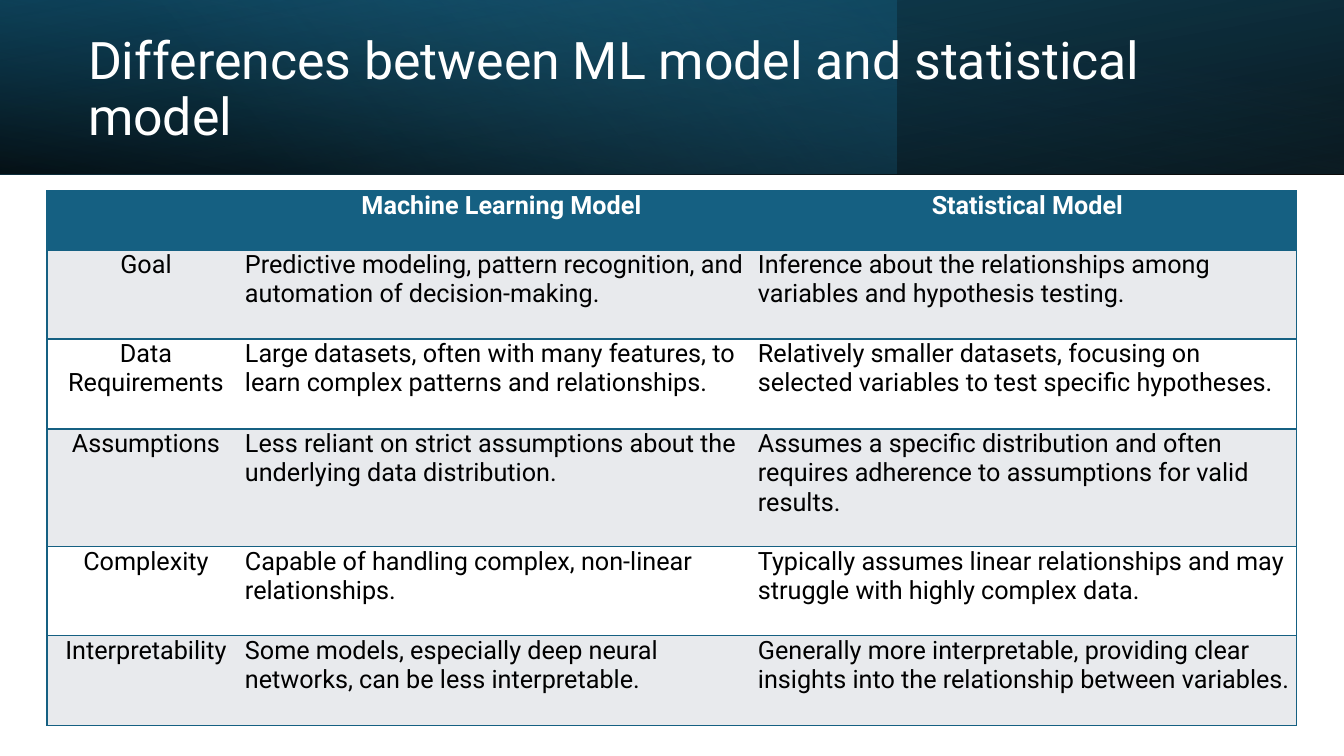
from dataclasses import dataclass

from lxml.etree import SubElement
from pptx import Presentation
from pptx.dml.color import RGBColor
from pptx.enum.shapes import MSO_SHAPE as Shape
from pptx.enum.text import MSO_ANCHOR as Anchor, MSO_AUTO_SIZE as AutoSize, PP_ALIGN as Align
from pptx.oxml.ns import qn
from pptx.util import Emu, Pt

PX = 914400 / 100.8
COLORS = {
    "black": "000000", "white": "FFFFFF", "blue": "156082",
    "deep": "104862", "sky": "46B1E1", "stripe": "E8EAED",
}
TITLE_FONT = {"name": "Roboto", "size": Pt(37), "bold": False}
HEAD_FONT = {"name": "Roboto", "size": Pt(18), "bold": True}
BODY_FONT = {**HEAD_FONT, "bold": False}
NO_MARGINS = {f"margin_{side}": 0 for side in ("left", "right", "top", "bottom")}


@dataclass(frozen=True)
class Stop:
    pos: int
    color: str
    alpha: int = 100


@dataclass(frozen=True)
class Band:
    width: int
    angle: int
    stops: tuple[Stop, Stop]
    flip: bool = False
    rotation: int = 0


@dataclass(frozen=True)
class Row:
    height: int
    label: str
    ml: str
    statistical: str


BAND_HEIGHT = 174
BANDS = [
    Band(1344, 100, (Stop(0, "black", 96), Stop(100, "deep")), True, 180),
    Band(897, 140, (Stop(0, "blue", 41), Stop(74, "sky", 0))),
    Band(1344, 260, (Stop(0, "black", 63), Stop(78, "blue", 15)), True),
]
TITLE = "Differences between ML model and statistical model"
COLUMNS = [198, 513, 539]
ROWS = [
    Row(59, "", "Machine Learning Model", "Statistical Model"),
    Row(89, "Goal",
        "Predictive modeling, pattern recognition, and automation of decision-making.",
        "Inference about the relationships among variables and hypothesis testing."),
    Row(90, "Data Requirements",
        "Large datasets, often with many features, to learn complex patterns and relationships.",
        "Relatively smaller datasets, focusing on selected variables to test specific hypotheses."),
    Row(118, "Assumptions",
        "Less reliant on strict assumptions about the underlying data distribution.",
        "Assumes a specific distribution and often requires adherence to assumptions"
        " for valid results."),
    Row(89, "Complexity",
        "Capable of handling complex, non-linear relationships.",
        "Typically assumes linear relationships and may struggle with highly complex data."),
    Row(90, "Interpretability",
        "Some models, especially deep neural networks, can be less interpretable.",
        "Generally more interpretable, providing clear insights into the relationship"
        " between variables."),
]


def px(n: int) -> Emu:
    return Emu(round(n * PX))


def rgb(color: str) -> RGBColor:
    return RGBColor.from_string(COLORS[color])


def set_attrs(obj, values: dict) -> None:
    for name, value in values.items():
        setattr(obj, name, value)


def write(tf, text: str, font: dict, color: str, align: Align):
    p = tf.paragraphs[0]
    p.alignment = align
    if text:
        r = p.add_run()
        r.text = text
        set_attrs(r.font, font)
        r.font.color.rgb = rgb(color)
    else:
        set_attrs(p.font, font)
    return p


def add_band(s, band: Band) -> None:
    sp = s.shapes.add_shape(Shape.RECTANGLE, 0, 0, px(band.width), px(BAND_HEIGHT))
    sp.shadow.inherit = False
    sp.line.fill.background()
    sp.rotation = band.rotation
    spPr = sp.element.spPr
    if band.flip:
        spPr.find(qn("a:xfrm")).set("flipH", "1")
    grad = SubElement(spPr, qn("a:gradFill"), rotWithShape="1")
    spPr.find(qn("a:prstGeom")).addnext(grad)
    stops = SubElement(grad, qn("a:gsLst"))
    for stop in band.stops:
        gs = SubElement(stops, qn("a:gs"), pos=str(stop.pos * 1000))
        clr = SubElement(gs, qn("a:srgbClr"), val=COLORS[stop.color])
        SubElement(clr, qn("a:alpha"), val=str(stop.alpha * 1000))
    SubElement(grad, qn("a:lin"), ang=str(band.angle * 60000), scaled="0")


def add_title(s) -> None:
    sp = s.shapes.title
    set_attrs(sp, {"left": px(78), "top": px(27), "width": px(1184), "height": px(128)})
    sp.element.getparent().append(sp.element)  # in front of the bands
    tf = sp.text_frame
    set_attrs(tf, {"word_wrap": True, "auto_size": AutoSize.NONE,
                   "vertical_anchor": Anchor.MIDDLE})
    write(tf, TITLE, TITLE_FONT, "white", Align.LEFT).line_spacing = 0.9


def set_borders(cell, sides: str) -> None:
    tcPr = cell._tc.get_or_add_tcPr()
    for i, side in enumerate("LRTB"):
        ln = SubElement(tcPr, qn(f"a:ln{side}"), w=str(Pt(1)))
        tcPr.insert(i, ln)
        if side in sides:
            fill = SubElement(ln, qn("a:solidFill"))
            SubElement(fill, qn("a:srgbClr"), val=COLORS["blue"])
        else:
            SubElement(ln, qn("a:noFill"))


def add_comparison(s) -> None:
    frame = s.shapes.add_table(len(ROWS), len(COLUMNS), px(47), px(191),
                               px(sum(COLUMNS)), px(sum(row.height for row in ROWS)))
    table = frame.table
    for column, width in zip(table.columns, COLUMNS):
        column.width = px(width)
    for i, row in enumerate(ROWS):
        table.rows[i].height = px(row.height)
        head = i == 0
        fill = "blue" if head else ("white", "stripe")[i % 2]
        for j, text in enumerate((row.label, row.ml, row.statistical)):
            cell = table.cell(i, j)
            set_attrs(cell, NO_MARGINS)
            cell.fill.solid()
            cell.fill.fore_color.rgb = rgb(fill)
            set_borders(cell, ("LTB", "TB", "RTB")[j])
            write(cell.text_frame, text, HEAD_FONT if head else BODY_FONT,
                  "white" if head else "black",
                  Align.CENTER if head or j == 0 else Align.LEFT)


def main() -> None:
    prs = Presentation()
    prs.slide_width, prs.slide_height = px(1344), px(756)
    s = prs.slides.add_slide(prs.slide_layouts[5])
    # Header
    for band in BANDS:
        add_band(s, band)
    add_title(s)
    # Comparison table
    add_comparison(s)
    prs.save("out.pptx")


if __name__ == "__main__":
    main()
